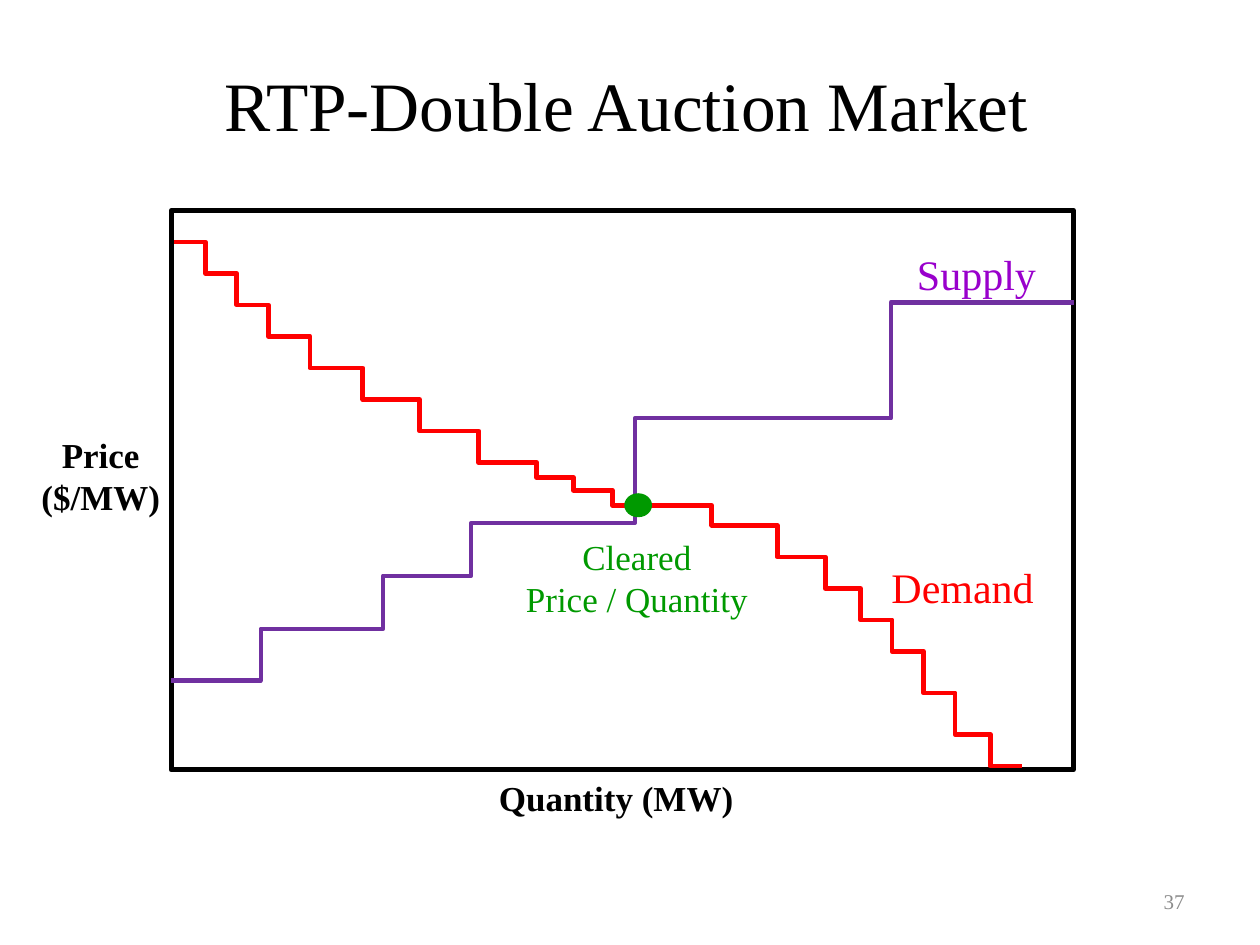
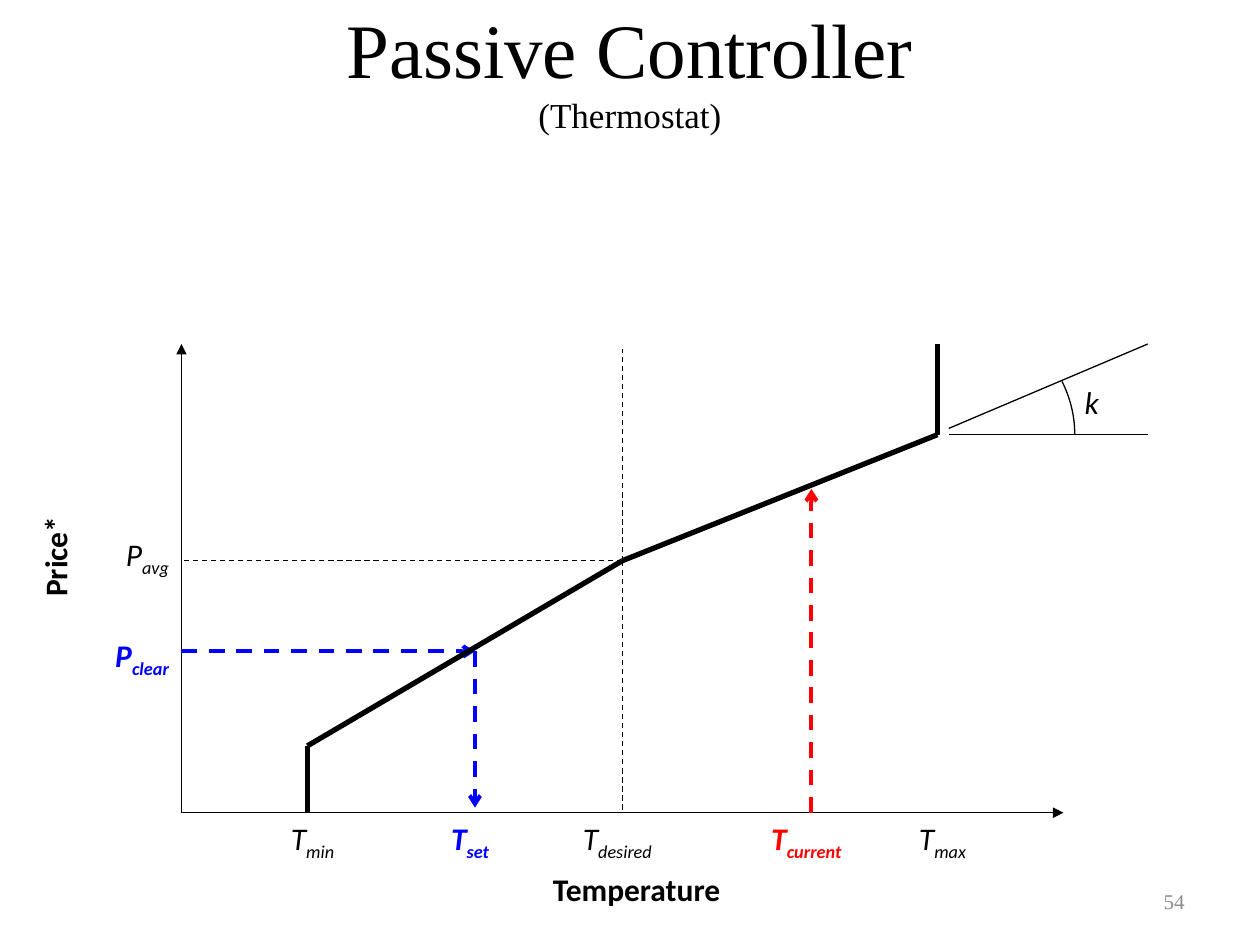
"""Build two slides on a double auction market and a passive thermostat controller."""
import itertools
import math

import lxml.etree
import pptx
import pptx.dml.color
import pptx.enum.dml
import pptx.enum.shapes
import pptx.enum.text
import pptx.oxml.ns
import pptx.util

Inches = pptx.util.Inches
ALIGN = pptx.enum.text.PP_ALIGN
ANCHOR = pptx.enum.text.MSO_ANCHOR
CONNECTOR = pptx.enum.shapes.MSO_CONNECTOR
SHAPE = pptx.enum.shapes.MSO_SHAPE

COLORS = {
    "black": "000000", "grey": "8C8C8C", "red": "FF0000", "blue": "0000FF",
    "green": "009900", "violet": "9900CC", "purple": "7030A0",
}
SERIF, SANS = "Times New Roman", "Calibri"
THIN, MEDIUM, THICK = 0.75, 2.25, 3


def rgb(color):
    return pptx.dml.color.RGBColor.from_string(COLORS[color])


def add_xml(parent, tag, **attributes):
    return lxml.etree.SubElement(parent, pptx.oxml.ns.qn(tag), attributes)


def add_run(paragraph, text, size, font=SERIF, color="black", bold=False,
            italic=False, baseline=None):
    run = paragraph.add_run()
    run.text = text
    run.font.size = pptx.util.Pt(size)
    run.font.name = font
    run.font.bold = bold
    run.font.italic = italic
    run.font.color.rgb = rgb(color)
    if baseline:
        run.font._element.set("baseline", str(baseline))


def add_text(slide, text, box, size, align=ALIGN.CENTER, anchor=ANCHOR.TOP,
             wrap=True, rotation=0, subscript=None, **font):
    label = slide.shapes.add_textbox(*map(Inches, box))
    label.rotation = rotation
    frame = label.text_frame
    frame.word_wrap = wrap
    frame.vertical_anchor = anchor
    for index, line in enumerate(text.split("\n")):
        paragraph = frame.paragraphs[0] if index == 0 else frame.add_paragraph()
        paragraph.alignment = align
        add_run(paragraph, line, size, **font)
    if subscript:
        add_run(paragraph, subscript, size, baseline=-25000, **font)


def add_titled_slide(deck, title, box, size, number, subtitle=None):
    slide = deck.slides.add_slide(deck.slide_layouts[5])
    heading = slide.shapes.title
    heading.left, heading.top, heading.width, heading.height = map(Inches, box)
    frame = heading.text_frame
    frame.auto_size = pptx.enum.text.MSO_AUTO_SIZE.NONE
    frame.vertical_anchor = ANCHOR.MIDDLE
    paragraph = frame.paragraphs[0]
    paragraph.alignment = ALIGN.CENTER
    add_run(paragraph, title, size)
    if subtitle:
        paragraph.add_line_break()
        add_run(paragraph, subtitle, 20)
    add_text(slide, number, (7.17, 6.95, 2.33, 0.4), 12, align=ALIGN.RIGHT,
             anchor=ANCHOR.MIDDLE, color="grey")
    return slide


def add_line(shapes, start, end, width=THIN, color="black", kind=CONNECTOR.STRAIGHT,
             dashed=False, arrow=None):
    connector = shapes.add_connector(kind, *map(Inches, (*start, *end)))
    connector.line.width = pptx.util.Pt(width)
    connector.line.color.rgb = rgb(color)
    if dashed:
        connector.line.dash_style = pptx.enum.dml.MSO_LINE.DASH
    if arrow:
        add_xml(connector.line._get_or_add_ln(), "a:tailEnd", type=arrow)
    add_xml(connector._element.spPr, "a:effectLst")
    return connector


def add_staircase(slide, start, treads, drops, color, width):
    """Join the middles of neighbouring treads by elbows that bend at each riser."""
    left, top = start
    edges = list(itertools.accumulate(treads, initial=left))
    levels = list(itertools.accumulate(drops, initial=top))
    middles = [(a + b) / 2 for a, b in itertools.pairwise(edges)]
    joints = [edges[0], *middles[1:-1], edges[-1]]
    stairs = slide.shapes.add_group_shape().shapes
    corners = itertools.pairwise(zip(joints, levels))
    for riser, (tread, next_tread) in zip(edges[1:], corners):
        step = add_line(stairs, tread, next_tread, width, color, CONNECTOR.ELBOW)
        bend = round((riser - tread[0]) / (next_tread[0] - tread[0]) * 100000)
        guides = step._element.spPr.find(".//" + pptx.oxml.ns.qn("a:avLst"))
        add_xml(guides, "a:gd", name="adj1", fmla=f"val {bend}")


def style_outline(shape, color, width, filled=False):
    shape.shadow.inherit = False
    shape.line.color.rgb = rgb(color)
    shape.line.width = pptx.util.Pt(width)
    if filled:
        shape.fill.solid()
        shape.fill.fore_color.rgb = rgb(color)
    else:
        shape.fill.background()


def add_angle_arc(slide, center, radius, degrees):
    points = [(Inches(center[0] + radius * math.cos(math.radians(angle))),
               Inches(center[1] - radius * math.sin(math.radians(angle))))
              for angle in range(degrees + 1)]
    builder = slide.shapes.build_freeform(*points[0])
    builder.add_line_segments(points[1:], close=False)
    style_outline(builder.convert_to_shape(), "black", THIN)


def build_auction_market(deck):
    slide = add_titled_slide(deck, "RTP-Double Auction Market", (0.53, 0.42, 8.88, 0.81),
                             39.6, "37")
    plot_left, plot_top, plot_width, plot_height = 1.36, 1.67, 7.16, 4.44
    plot_bottom = plot_top + plot_height

    add_text(slide, "Demand", (6.86, 4.41, 1.56, 0.5), 24, color="red")
    add_text(slide, "Supply", (7.17, 1.92, 1.16, 0.5), 24, wrap=False, color="violet")
    add_text(slide, "Cleared\nPrice / Quantity", (4.07, 4.2, 1.97, 0.77), 20,
             wrap=False, color="green")
    plot = slide.shapes.add_shape(
        SHAPE.RECTANGLE, *map(Inches, (plot_left, plot_top, plot_width, plot_height)))
    style_outline(plot, "black", THICK)
    add_text(slide, "Quantity (MW)", (3.31, plot_bottom, 2.61, 0.54), 20,
             align=ALIGN.RIGHT, bold=True)
    add_text(slide, "Price\n($/MW)", (0.08, 3.39, 1.44, 0.96), 20, bold=True)

    add_staircase(slide, (plot_left, 5.4), color="purple", width=2.5,
                  treads=[0.71, 0.97, 0.7, 1.3, 2.03, 1.45],
                  drops=[-0.41] + 2 * [-0.42] + [-0.83, -0.92])

    early_treads = 3 * [0.25] + [0.33, 0.42, 0.45, 0.47, 0.46]
    clearing_treads = [0.29, 0.31, 0.79, 0.52]
    late_treads = [0.38, 0.28] + 3 * [0.25] + [0.28, 0.25]
    early_drops, clearing_drops = 7 * [0.25], [0.12, 0.1, 0.12, 0.16]
    late_drops = 4 * [0.25] + 2 * [0.33] + [0.25]
    add_staircase(slide, (plot_left + 0.02, plot_top + 0.25), color="red", width=2.75,
                  treads=early_treads + clearing_treads + late_treads,
                  drops=early_drops + clearing_drops + late_drops)

    clearing_point = slide.shapes.add_shape(
        SHAPE.OVAL, *map(Inches, (4.96, 3.92, 0.21, 0.18)))
    style_outline(clearing_point, "green", THIN, filled=True)


def add_symbol(slide, symbol, subscript, left, top, color, align):
    add_text(slide, symbol, (left, top, 1.08, 0.4), 18, subscript=subscript, align=align,
             font=SANS, color=color, bold=color != "black", italic=True)


def build_passive_controller(deck):
    slide = add_titled_slide(deck, "Passive Controller", (0.5, -0.08, 9, 1.25), 44, "54",
                             subtitle="(Thermostat)")
    shapes = slide.shapes
    price_axis, temperature_axis, plot_top = 1.44, 6.45, 2.73
    t_min, t_set, t_desired, t_current, t_max = 2.44, 3.77, 4.94, 6.44, 7.44
    p_min, p_clear, p_avg, p_current, p_max = 5.92, 5.17, 4.45, 3.88, 3.45

    origin = (price_axis, temperature_axis)
    for axis_end in ((8.44, temperature_axis), (price_axis, plot_top)):
        add_line(shapes, origin, axis_end, arrow="triangle")
    axis_title = dict(size=18, align=ALIGN.LEFT, wrap=False, font=SANS, bold=True)
    add_text(slide, "Temperature", (4.29, 6.86, 1.72, 0.4), **axis_title)
    add_text(slide, "Price*", (-0.02, 4.18, 0.91, 0.4), rotation=270, **axis_title)

    angle_left, angle_right = t_max + 0.09, 9.11
    add_line(shapes, (angle_left, p_max - 0.05), (angle_right, plot_top))
    add_line(shapes, (angle_left, p_max), (angle_right, p_max))
    add_angle_arc(slide, (7.6, p_max), 0.93, 27)
    add_text(slide, "k", (8.51, 2.99, 0.33, 0.4), 18, align=ALIGN.LEFT, wrap=False,
             font=SANS, italic=True)

    average = (t_desired, p_avg)
    for guide_end in ((t_desired, temperature_axis), (price_axis, p_avg),
                      (t_desired, plot_top + 0.04)):
        add_line(shapes, average, guide_end, dashed=True)

    signals = (
        ((t_current, temperature_axis), (t_current, p_current), "red"),
        ((price_axis, p_clear), (t_set, p_clear), "blue"),
        ((t_set, p_clear), (t_set, temperature_axis - 0.04), "blue"),
    )
    for start, end, color in signals:
        add_line(shapes, start, end, MEDIUM, color, dashed=True, arrow="arrow")

    response = ((t_min, temperature_axis), (t_min, p_min), average, (t_max, p_max),
                (t_max, plot_top))
    for start, end in itertools.pairwise(response):
        add_line(shapes, start, end, THICK)

    limit_shift, inner_shift = 0.5, 0.58
    temperatures = (
        ("min", t_min - limit_shift, "black"), ("set", t_set - inner_shift, "blue"),
        ("desired", t_desired - inner_shift, "black"),
        ("current", t_current - inner_shift, "red"), ("max", t_max - limit_shift, "black"),
    )
    for subscript, left, color in temperatures:
        add_symbol(slide, "T", subscript, left, temperature_axis, color, ALIGN.CENTER)
    for subscript, top, color in (("avg", p_avg - 0.25, "black"),
                                  ("clear", p_clear - 0.17, "blue")):
        add_symbol(slide, "P", subscript, price_axis - 1.08, top, color, ALIGN.RIGHT)


def main():
    deck = pptx.Presentation()
    deck.slide_width, deck.slide_height = Inches(10), Inches(7.5)
    build_auction_market(deck)
    build_passive_controller(deck)
    deck.save("out.pptx")


if __name__ == "__main__":
    main()
